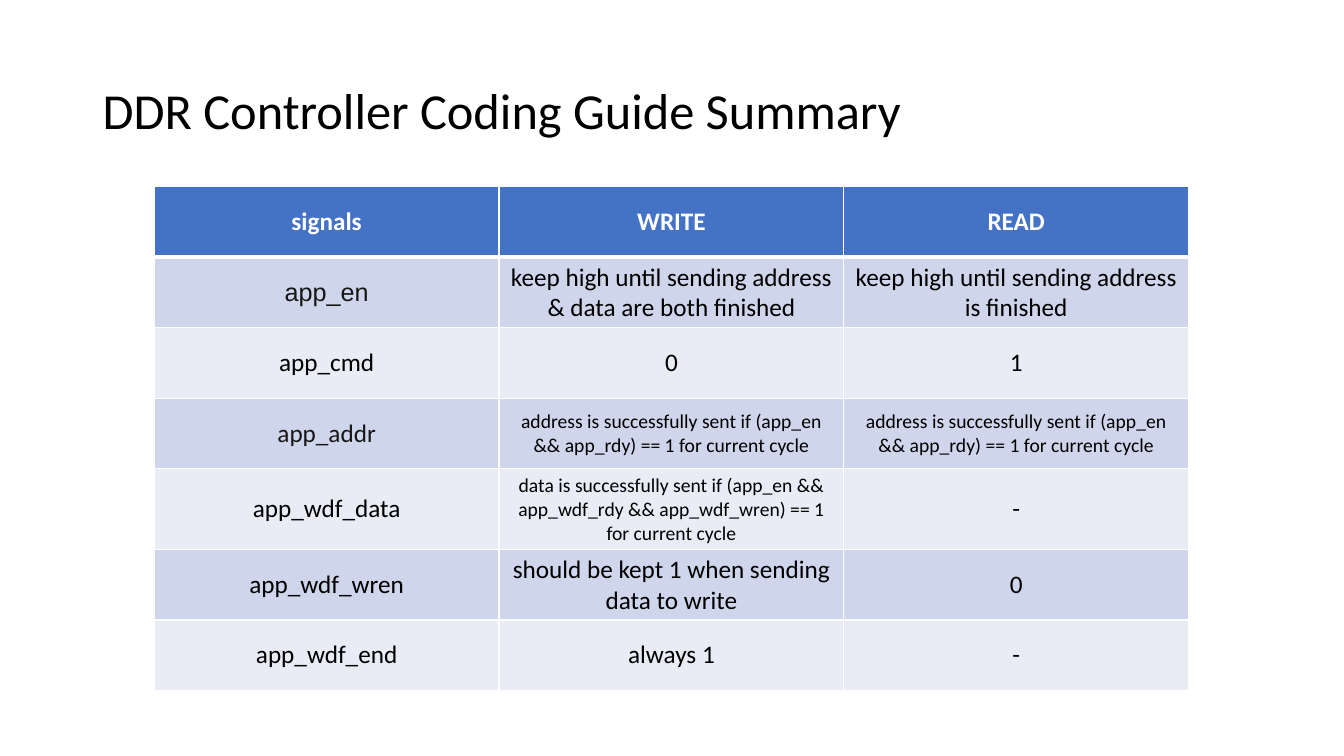
from lxml.etree import SubElement
from pptx import Presentation
from pptx.dml.color import RGBColor
from pptx.enum.text import MSO_ANCHOR, PP_ALIGN
from pptx.oxml.ns import qn
from pptx.util import Inches, Pt

COLORS = {
    "black": "000000",
    "ink": "181717",
    "white": "FFFFFF",
    "header": "4472C4",
    "dark_band": "CFD5EA",
    "light_band": "E9EBF5",
}
ADDRESS_RULE = "address is successfully sent if (app_en && app_rdy) == 1 for current cycle"
DATA_RULE = "data is successfully sent if (app_en && app_wdf_rdy && app_wdf_wren) == 1 for current cycle"
SIGNALS = [
    ("signals", "WRITE", "READ"),
    ("app_en", "keep high until sending address & data are both finished",
     "keep high until sending address is finished"),
    ("app_cmd", "0", "1"),
    ("app_addr", ADDRESS_RULE, ADDRESS_RULE),
    ("app_wdf_data", DATA_RULE, "-"),
    ("app_wdf_wren", "should be kept 1 when sending data to write", "0"),
    ("app_wdf_end", "always 1", "-"),
]
SPECIAL_STYLES = {
    "app_en": {"font": "Arial", "color": "ink"},
    "app_addr": {"color": "ink"},
    ADDRESS_RULE: {"size": 14},
    DATA_RULE: {"size": 14},
}


def format_text(paragraph, size=18, font="Calibri", color="black", bold=False):
    """Apply one character style to every run of a paragraph."""
    for run in paragraph.runs:
        run.font.size = Pt(size)
        run.font.name = font
        run.font.bold = bold
        run.font.color.rgb = RGBColor.from_string(COLORS[color])


def add_title(slide, text):
    """Add the slide title, vertically centred in its box."""
    box = slide.shapes.add_textbox(Inches(0.92), Inches(0.4), Inches(11.5), Inches(1.45))
    frame = box.text_frame
    frame.word_wrap = True
    frame.vertical_anchor = MSO_ANCHOR.MIDDLE
    frame.text = text
    frame.paragraphs[0].line_spacing = 0.9
    format_text(frame.paragraphs[0], size=36)


def set_borders(cell, top, bottom):
    """Draw white cell borders, with top and bottom widths in points."""
    properties = cell._tc.get_or_add_tcPr()
    for side, width in (("L", 1), ("R", 1), ("T", top), ("B", bottom)):
        line = SubElement(properties, qn(f"a:ln{side}"), w=str(Pt(width)))
        fill = SubElement(line, qn("a:solidFill"))
        SubElement(fill, qn("a:srgbClr"), val=COLORS["white"])


def fill_cell(cell, text, background, **style):
    """Write centred text into a cell and colour its background."""
    cell.text = text
    cell.vertical_anchor = MSO_ANCHOR.MIDDLE
    cell.fill.solid()
    cell.fill.fore_color.rgb = RGBColor.from_string(COLORS[background])
    paragraph = cell.text_frame.paragraphs[0]
    paragraph.alignment = PP_ALIGN.CENTER
    format_text(paragraph, **style)


def add_signal_table(slide, rows):
    """Add the banded signal table below the title."""
    frame = slide.shapes.add_table(
        len(rows), len(rows[0]), Inches(1.53), Inches(1.85),
        Inches(3.42 * len(rows[0])), Inches(0.7 * len(rows)))
    for row_index, texts in enumerate(rows):
        is_header = row_index == 0
        band = "dark_band" if row_index % 2 else "light_band"
        for column_index, text in enumerate(texts):
            cell = frame.table.cell(row_index, column_index)
            set_borders(cell, top=3 if row_index == 1 else 1, bottom=3 if is_header else 1)
            if is_header:
                fill_cell(cell, text, "header", color="white", bold=True)
            else:
                fill_cell(cell, text, band, **SPECIAL_STYLES.get(text, {}))


def main():
    """Build the slide and save it."""
    presentation = Presentation()
    presentation.slide_width = Inches(13.33)
    presentation.slide_height = Inches(7.5)
    slide = presentation.slides.add_slide(presentation.slide_layouts[6])
    add_title(slide, "DDR Controller Coding Guide Summary")
    add_signal_table(slide, SIGNALS)
    presentation.save("out.pptx")


if __name__ == "__main__":
    main()
